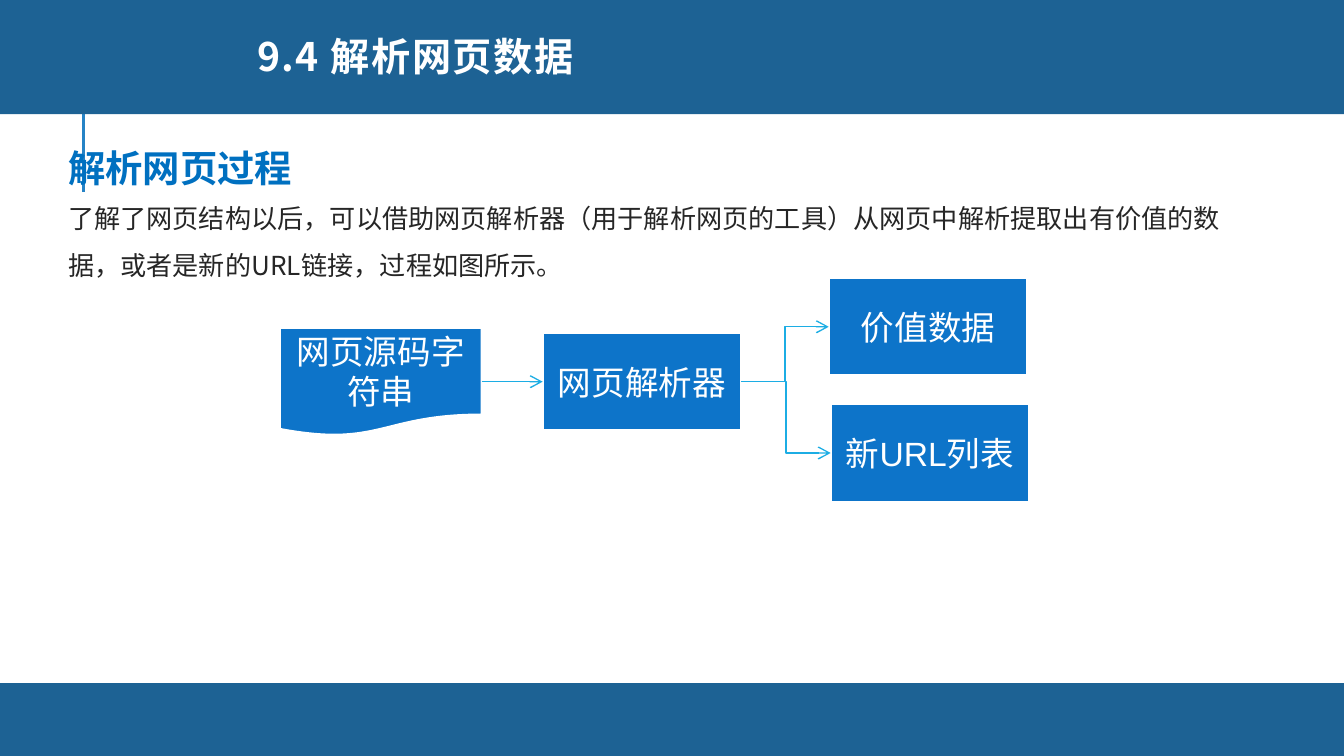
"""Builds the slide on parsing web page data."""
from lxml import etree
from pptx import Presentation
from pptx.dml.color import RGBColor
from pptx.enum.shapes import MSO_CONNECTOR, MSO_SHAPE
from pptx.enum.text import MSO_ANCHOR, MSO_AUTO_SIZE, PP_ALIGN
from pptx.oxml.ns import qn
from pptx.util import Pt

RECT, DOCUMENT = MSO_SHAPE.RECTANGLE, MSO_SHAPE.FLOWCHART_DOCUMENT
STRAIGHT, ELBOW = MSO_CONNECTOR.STRAIGHT, MSO_CONNECTOR.ELBOW
MIDDLE, TOP = MSO_ANCHOR.MIDDLE, MSO_ANCHOR.TOP
LEFT, CENTER = PP_ALIGN.LEFT, PP_ALIGN.CENTER
FIXED, GROW = MSO_AUTO_SIZE.NONE, MSO_AUTO_SIZE.SHAPE_TO_FIT_TEXT
CJK = "Noto Sans CJK SC"


def color(value):
    return RGBColor.from_string(value)


def apply(target, values):
    for name, value in values.items():
        setattr(target, name, value)


class Deck:
    band_fill, box_fill = "1D6294", "0D74C9"
    rule, arrow_line, white = "2683C6", "1CADE4", "FFFFFF"

    def __init__(self, width, height):
        self.prs = Presentation()
        apply(self.prs, {"slide_width": Pt(width), "slide_height": Pt(height)})
        self.slide = self.prs.slides.add_slide(self.prs.slide_layouts[5])
        self.shapes = self.slide.shapes

    def set_text(self, shape, text, size, ink, font=CJK, bold=False, spacing=1.0,
                 align=LEFT, anchor=TOP, fit=FIXED):
        frame = shape.text_frame
        apply(frame, {"word_wrap": True, "auto_size": fit, "vertical_anchor": anchor})
        paragraph = frame.paragraphs[0]
        apply(paragraph, {"alignment": align, "line_spacing": spacing})
        run = paragraph.add_run()
        run.text = text
        apply(run.font, {"size": Pt(size), "bold": bold, "name": font})
        run.font.color.rgb = color(ink)
        properties = shape.element.find(".//" + qn("a:rPr"))
        etree.SubElement(properties, qn("a:ea"), typeface=font)
        return properties

    def title(self, text, left, top, width, height):
        heading = self.shapes.title
        apply(heading, {"left": Pt(left), "top": Pt(top),
                        "width": Pt(width), "height": Pt(height)})
        properties = self.set_text(heading, text, 21, self.white, bold=True,
                                   spacing=0.8, anchor=MIDDLE)
        properties.set("spc", "80")
        self.shapes.element.append(heading.element)

    def panel(self, kind, fill, left, top, width, height):
        panel = self.shapes.add_shape(kind, Pt(left), Pt(top), Pt(width), Pt(height))
        panel.shadow.inherit = False
        panel.fill.solid()
        panel.fill.fore_color.rgb = color(fill)
        return panel

    def band(self, top, height):
        band = self.panel(RECT, self.band_fill, 0, top, 720, height)
        band.line.fill.background()

    def box(self, text, left, top, width=106.4, height=52.6, kind=RECT):
        box = self.panel(kind, self.box_fill, left, top, width, height)
        box.line.color.rgb = color(self.white)
        box.line.width = Pt(1.5)
        self.set_text(box, text, 18, self.white, font="Arial", align=CENTER, anchor=MIDDLE)

    def text(self, text, left, top, width, height, size, ink, bold=False):
        area = self.shapes.add_textbox(Pt(left), Pt(top), Pt(width), Pt(height))
        self.set_text(area, text, size, ink, bold=bold, spacing=1.5, fit=GROW)

    def line(self, start, end, ink, width, kind=STRAIGHT):
        line = self.shapes.add_connector(kind, *(Pt(v) for v in (*start, *end)))
        line.line.color.rgb = color(ink)
        line.line.width = Pt(width)
        etree.SubElement(line.element.spPr, qn("a:effectLst"))
        return line

    def arrow(self, start, end, kind=STRAIGHT):
        arrow = self.line(start, end, self.arrow_line, 0.75, kind)
        outline = arrow.element.spPr.find(qn("a:ln"))
        etree.SubElement(outline, qn("a:tailEnd"), type="arrow")


def main():
    deck = Deck(720, 405)
    deck.line((44.8, 103), (44.8, 49), deck.rule, 1.5)
    deck.band(366, 39)
    deck.band(-2, 63.2)
    deck.title("9.4 解析网页数据", 130.5, 9.2, 371.5, 46)

    deck.text("解析网页过程", 29.4, 62, 448, 39.6, 20, "0070C0", bold=True)
    deck.text("了解了网页结构以后，可以借助网页解析器（用于解析网页的工具）从网页中解析提取出有价值的数据，"
              "或者是新的URL链接，过程如图所示。", 29.4, 96.5, 645, 55.4, 14, "262626")

    deck.box("网页源码字符串", 149.8, 175.5, 108.4, 58.4, DOCUMENT)
    deck.box("网页解析器", 290.7, 178.2)
    deck.box("价值数据", 444, 148.8)
    deck.box("新URL列表", 445, 216.4)

    parser_exit = (397, 204.5)
    deck.arrow((258, 204.5), (290.7, 204.5))
    deck.arrow(parser_exit, (444, 175.1), ELBOW)
    deck.arrow(parser_exit, (445, 242.7), ELBOW)
    deck.prs.save("out.pptx")


if __name__ == "__main__":
    main()
